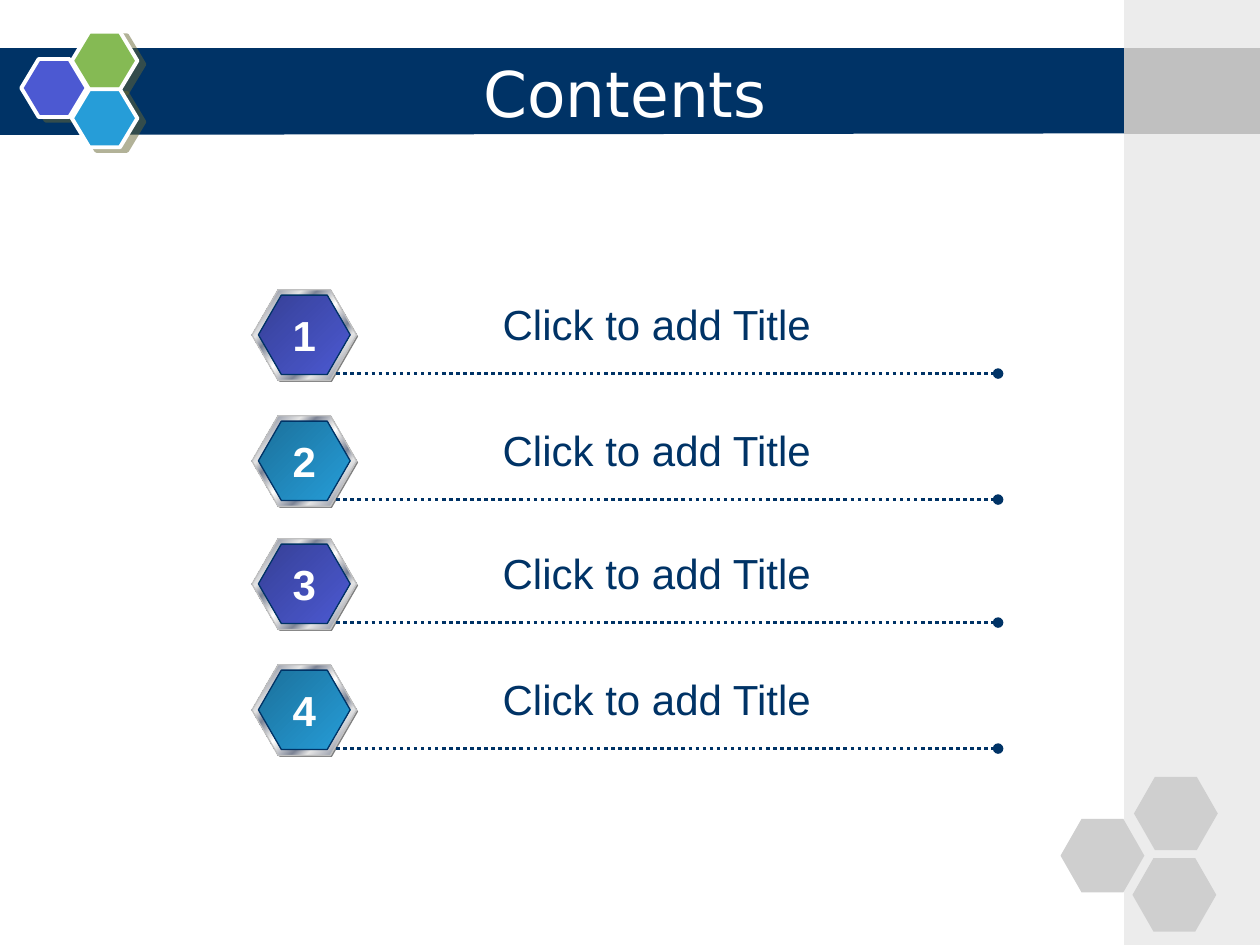
from lxml.etree import SubElement
from pptx import Presentation
from pptx.dml.color import RGBColor
from pptx.enum.dml import MSO_LINE as Dash
from pptx.enum.shapes import MSO_CONNECTOR as Link, MSO_SHAPE as Kind
from pptx.enum.text import MSO_ANCHOR as Anchor, MSO_AUTO_SIZE as Fit, PP_ALIGN as Align
from pptx.oxml.ns import qn
from pptx.util import Cm, Pt

NAVY = RGBColor(0x00, 0x33, 0x66)
WHITE = RGBColor(0xFF, 0xFF, 0xFF)
INDIGO = RGBColor(0x4C, 0x59, 0xD2)
DUSK = RGBColor(0x36, 0x40, 0x96)
BLUE = RGBColor(0x26, 0x9D, 0xD8)
TEAL = RGBColor(0x1B, 0x70, 0x9B)
GREEN = RGBColor(0x85, 0xBA, 0x54)
OLIVE = RGBColor(0x66, 0x66, 0x33)
PALE = RGBColor(0xEC, 0xEC, 0xEC)
SILVER = RGBColor(0xC0, 0xC0, 0xC0)
ASH = RGBColor(0xCF, 0xCF, 0xCF)
GRAY = RGBColor(0x80, 0x80, 0x80)
STEEL = RGBColor(0x7D, 0x84, 0x96)
MIST = RGBColor(0xE6, 0xE6, 0xE6)
CHROME = [(0, MIST), (7, STEEL), (26, MIST), (34, STEEL), (46, MIST), (50, WHITE),
          (54, MIST), (66, STEEL), (74, MIST), (93, STEEL), (100, MIST)]

deck = Presentation()
deck.slide_width, deck.slide_height = Cm(25.4), Cm(19.05)
slide = deck.slides.add_slide(deck.slide_layouts[5])
shapes = slide.shapes


def write(frame, text, size=24, font="Arial", color=NAVY, bold=False, wrap=True,
          fit=Fit.SHAPE_TO_FIT_TEXT, anchor=Anchor.TOP):
    frame.word_wrap = wrap
    frame.auto_size = fit
    frame.vertical_anchor = anchor
    para = frame.paragraphs[0]
    para.alignment = Align.CENTER
    run = para.add_run()
    run.text = text
    run.font.size, run.font.name, run.font.bold = Pt(size), font, bold
    run.font.color.rgb = color


def draw(kind, x, y, w, h, fill, line=None, width=0.75, adj=None):
    """Add a shape; fill is one colour or a list of (percent, colour) stops."""
    shape = shapes.add_shape(kind, Cm(x), Cm(y), Cm(w), Cm(h))
    shape.shadow.inherit = False
    if adj:
        shape.adjustments[0] = adj
    if isinstance(fill, list):
        shape.fill.gradient()
        shape.fill.gradient_angle = 315
        stops = shape._element.spPr.find(qn("a:gradFill")).find(qn("a:gsLst"))
        stops.clear()
        for pos, color in fill:
            stop = SubElement(stops, qn("a:gs"), pos=str(pos * 1000))
            SubElement(stop, qn("a:srgbClr"), val=str(color))
    else:
        shape.fill.solid()
        shape.fill.fore_color.rgb = fill
    if line:
        shape.line.color.rgb = line
        shape.line.width = Pt(width)
    else:
        shape.line.fill.background()
    return shape


# Title band
path = shapes.build_freeform(Cm(-0.08), Cm(0.97))
path.add_line_segments([(Cm(22.71), Cm(0.97)), (Cm(22.68), Cm(2.69)), (Cm(-0.08), Cm(2.72))])
band = path.convert_to_shape()
band.shadow.inherit = False
band.fill.solid()
band.fill.fore_color.rgb = NAVY
band.line.fill.background()

# Hexagon cluster with hard shadows
for x, y, color in [(0.43, 1.19, INDIGO), (1.45, 0.64, GREEN), (1.45, 1.8, BLUE)]:
    hexa = draw(Kind.HEXAGON, x, y, 1.32, 1.17, color, WHITE, 2.25, adj=0.3)
    effect = hexa._element.spPr.find(qn("a:effectLst"))
    shade = SubElement(effect, qn("a:outerShdw"), dist=str(Pt(4.5)), dir=str(27 * 60000),
                       algn="ctr", rotWithShape="0")
    tint = SubElement(shade, qn("a:srgbClr"), val=str(OLIVE))
    SubElement(tint, qn("a:alpha"), val="50000")

# Side strip and pale hexagons
draw(Kind.RECTANGLE, 22.66, 0, 2.74, 19.05, PALE)
draw(Kind.RECTANGLE, 22.66, 0.97, 2.74, 1.73, SILVER)
for x, y in [(21.38, 16.51), (22.86, 15.66), (22.83, 17.3)]:
    draw(Kind.HEXAGON, x, y, 1.69, 1.48, ASH, adj=0.286)

# Title, brought in front of the band
title = shapes.title
title.left, title.top, title.width, title.height = Cm(3.18), Cm(1.07), Cm(18.84), Cm(1.57)
write(title.text_frame, "Contents", size=36, font="DejaVu Sans", color=WHITE,
      fit=Fit.NONE, anchor=Anchor.MIDDLE)
shapes._spTree.append(title._element)

# Numbered rows
tones = [[(0, DUSK), (100, INDIGO)], [(0, TEAL), (100, BLUE)]]
for num, top in enumerate([5.84, 8.38, 10.86, 13.4]):
    draw(Kind.HEXAGON, 5.11, top + 0.03, 2.11, 1.83, GRAY, adj=0.289)
    draw(Kind.HEXAGON, 5.08, top, 2.11, 1.83, CHROME, SILVER, adj=0.289)
    draw(Kind.HEXAGON, 5.21, top + 0.11, 1.85, 1.6, tones[num % 2], NAVY, adj=0.289)

    rule = shapes.add_connector(Link.STRAIGHT, Cm(6.78), Cm(top + 1.69), Cm(20.12), Cm(top + 1.69))
    rule.line.color.rgb = NAVY
    rule.line.width = Pt(2)
    rule.line.dash_style = Dash.ROUND_DOT
    SubElement(rule.line._get_or_add_ln(), qn("a:tailEnd"), type="oval")
    SubElement(rule._element.spPr, qn("a:effectLst"))

    label = shapes.add_textbox(Cm(8.26), Cm(top + 0.06), Cm(9.96), Cm(1.27))
    write(label.text_frame, "Click to add Title")
    digit = shapes.add_textbox(Cm(5.64), Cm(top + 0.27), Cm(0.99), Cm(1.27))
    write(digit.text_frame, str(num + 1), color=WHITE, bold=True, wrap=False)

deck.save("out.pptx")
